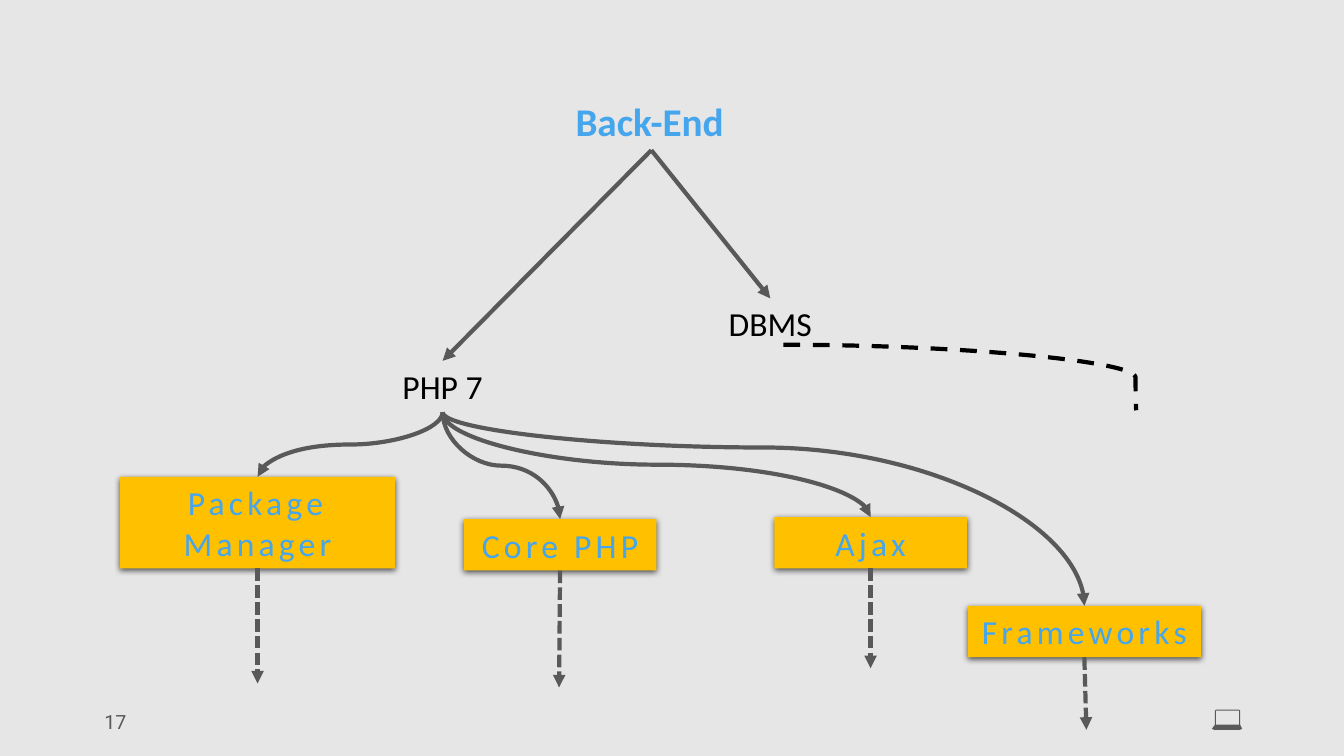
from pptx import Presentation
from pptx.dml.color import RGBColor
from pptx.enum.dml import MSO_LINE as DASH
from pptx.enum.shapes import MSO_CONNECTOR as LINK, MSO_SHAPE as SHAPE
from pptx.enum.text import PP_ALIGN as ALIGN
from pptx.oxml.ns import qn
from pptx.util import Emu, Pt
from lxml.etree import SubElement

PX = 9144
COLORS = {
    "background": "E6E6E6",
    "accent": "45A5ED",
    "topic": "FFC000",
    "line": "595959",
    "black": "000000",
}


def px(length):
    """Turn a length in px into EMU."""
    return Emu(int(length * PX))


def rgb(name):
    """Look up a palette colour."""
    return RGBColor.from_string(COLORS[name])


def write(shape, wording, size, color, font="Calibri", align=ALIGN.CENTER, bold=False, spacing=0):
    """Set and format the one paragraph of a shape."""
    shape.text_frame.text = wording
    paragraph = shape.text_frame.paragraphs[0]
    paragraph.alignment = align
    run = paragraph.runs[0]
    run.font.name, run.font.size, run.font.bold = font, Pt(size), bold
    run.font.color.rgb = rgb(color)
    if spacing:
        run.font._element.set("spc", str(spacing * 100))


def add_label(slide, box, wording, size=24, color="black", wrap=True, **style):
    """Place a text box."""
    label = slide.shapes.add_textbox(*map(px, box))
    label.text_frame.word_wrap = wrap
    write(label, wording, size, color, **style)


def add_topic(slide, box, wording):
    """Place a shadowed topic rectangle."""
    topic = slide.shapes.add_shape(SHAPE.RECTANGLE, *map(px, box))
    topic.fill.solid()
    topic.fill.fore_color.rgb = rgb("topic")
    topic.line.fill.background()
    topic.text_frame.word_wrap = True
    write(topic, wording, 24, "accent", spacing=3)
    topic.shadow.inherit = False
    shadow = SubElement(
        topic._element.spPr.find(qn("a:effectLst")), qn("a:outerShdw"),
        blurRad=str(Pt(4.5)), dist=str(Pt(1.5)), dir="5400000", algn="ctr", rotWithShape="0")
    tint = SubElement(shadow, qn("a:srgbClr"), val=COLORS["black"])
    SubElement(tint, qn("a:alpha"), val="63000")


def add_link(slide, start, end, kind=LINK.STRAIGHT, color="line", dash=None, arrow=True):
    """Draw a connector from start to end."""
    link = slide.shapes.add_connector(kind, *map(px, (*start, *end)))
    link.line.color.rgb = rgb(color)
    link.line.width = Pt(3)
    if dash:
        link.line.dash_style = dash
    if arrow:
        SubElement(link.line._get_or_add_ln(), qn("a:tailEnd"), type="triangle")
    SubElement(link._element.spPr, qn("a:effectLst"))
    return link


def set_bend(link, bend):
    """Set where a curved connector turns, as a share of its length."""
    geometry = link._element.spPr.find(qn("a:prstGeom"))
    guides = geometry.find(qn("a:avLst"))
    if guides is None:
        guides = SubElement(geometry, qn("a:avLst"))
    SubElement(guides, qn("a:gd"), name="adj1", fmla=f"val {round(bend * 100000)}")


def add_drop_curve(slide, start, end, bend):
    """Draw a curve that leaves and arrives vertically."""
    (x1, y1), (x2, y2) = start, end
    mid_x, mid_y = (x1 + x2) / 2, (y1 + y2) / 2
    half_drop, half_run = (y2 - y1) / 2, abs(x2 - x1) / 2
    side = 1 if x2 > x1 else -1
    curve = add_link(
        slide,
        (mid_x + side * half_drop, mid_y - half_run),
        (mid_x - side * half_drop, mid_y + half_run),
        LINK.CURVE)
    curve._element.spPr.find(qn("a:xfrm")).set("rot", "16200000" if side > 0 else "5400000")
    set_bend(curve, bend)


def draw_top_level(slide, box):
    """Draw the Back-End root, its two children and the DBMS trail."""
    left, top, width, height = box
    add_label(slide, (left + 240, top, 170, 57), "Back-End", 28, "accent",
              wrap=False, align=ALIGN.LEFT, bold=True)
    fork = (left + 325, top + 57)
    for wording, x, y in (("PHP 7", 0, 266), ("DBMS", 325, 204)):
        add_label(slide, (left + x, top + y, 236, 50), wording)
        add_link(slide, fork, (left + x + 118, top + y))
    trail = add_link(slide, (left + 456, top + 250), (left + width, top + height),
                     LINK.CURVE, "black", DASH.DASH, arrow=False)
    set_bend(trail, 0.998)


def draw_php_branches(slide, box):
    """Draw the PHP topics with their curves and dashed arrows."""
    left, top = box[:2]
    root = (left + 320, top)
    topics = (
        ("Package Manager", 0, 64, 273, 91, 0.5, 0, 114),
        ("Core PHP", 341, 106, 191, 51, 0.5, -1, 116),
        ("Ajax", 649, 104, 191, 51, 0.5, 0, 99),
        ("Frameworks", 841, 192, 231, 51, 0.182, 2, 72),
    )
    for wording, x, y, width, height, bend, drift, length in topics:
        center, upper = left + x + width / 2, top + y
        lower = upper + height
        add_topic(slide, (left + x, upper, width, height), wording)
        add_drop_curve(slide, root, (center, upper), bend)
        add_link(slide, (center, lower), (center + drift, lower + length), dash=DASH.SQUARE_DOT)


def draw_footer(slide, box):
    """Draw the page number and the laptop icon."""
    left, top, width, height = box
    add_label(slide, (left, top, 61, height), "17", 14, "line", font="Roboto")
    x, y = left + width - 30, top + 5
    screen = [(27, 15), (4, 15), (4, 1), (27, 1)]
    body = [(0, 19), (2, 20), (28, 20), (30, 19), (28, 15), (28, 1),
            (27, 0), (4, 0), (3, 1), (3, 15)]
    outline = slide.shapes.build_freeform(x + screen[0][0], y + screen[0][1], scale=PX)
    outline.add_line_segments([(x + dx, y + dy) for dx, dy in screen[1:]], close=True)
    outline.move_to(x + body[0][0], y + body[0][1])
    outline.add_line_segments([(x + dx, y + dy) for dx, dy in body[1:]], close=True)
    laptop = outline.convert_to_shape()
    laptop.fill.solid()
    laptop.fill.fore_color.rgb = rgb("line")
    laptop.line.fill.background()
    laptop.shadow.inherit = False


def main():
    """Build and save the slide."""
    deck = Presentation()
    deck.slide_width, deck.slide_height = px(1333), px(750)
    slide = deck.slides.add_slide(deck.slide_layouts[6])
    slide.background.fill.solid()
    slide.background.fill.fore_color.rgb = rgb("background")
    draw_footer(slide, (84, 699, 1148, 34))
    draw_top_level(slide, (321, 92, 806, 315))
    draw_php_branches(slide, (119, 409, 1072, 315))
    deck.save("out.pptx")


if __name__ == "__main__":
    main()
